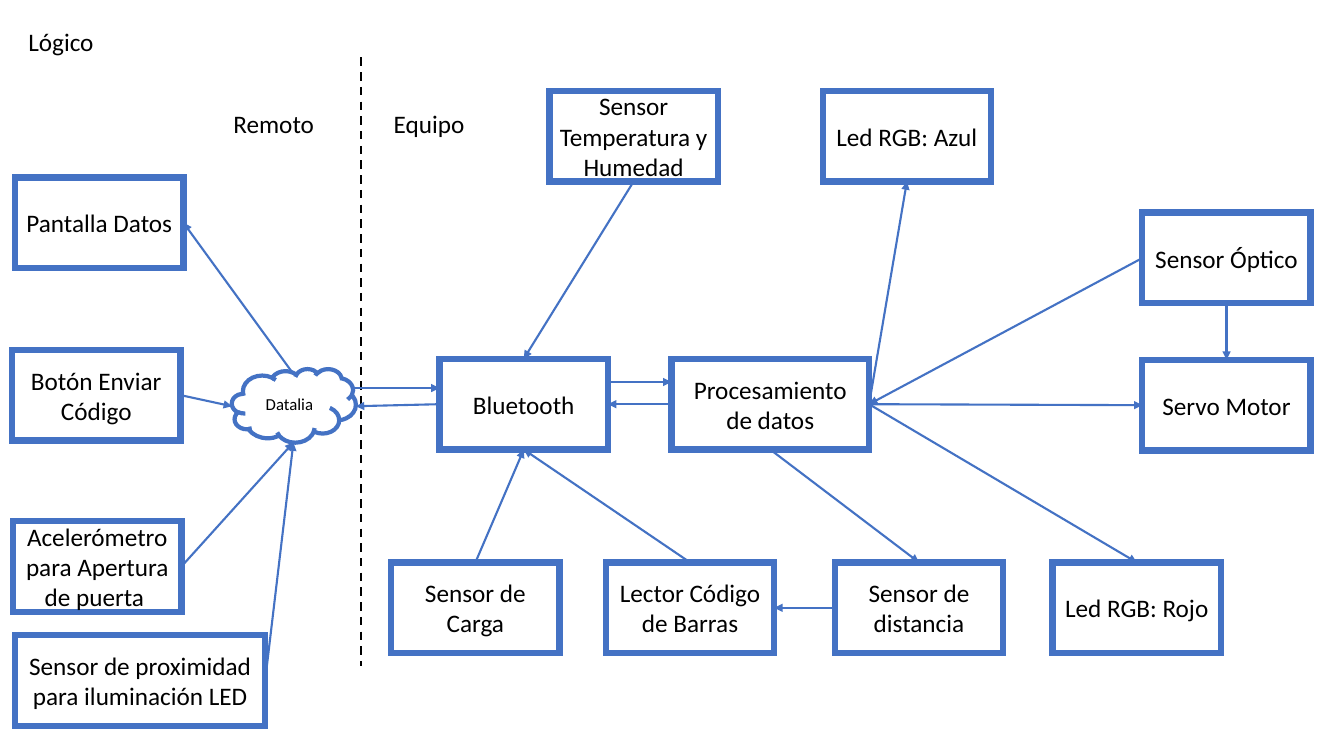
"""Build the logical diagram of the sensors, the remote side and the device."""
from typing import NamedTuple, Union

from lxml import etree
from pptx import Presentation
from pptx.dml.color import RGBColor
from pptx.enum import dml, shapes, text
from pptx.oxml import ns
from pptx.util import Inches, Pt

BLUE = RGBColor(0x44, 0x72, 0xC4)
BLACK = RGBColor(0, 0, 0)
WHITE = RGBColor(255, 255, 255)
FONT = "Calibri"
WIDE, HIGH = 1.67, 0.9
TOP, LEFT, BASE, RIGHT = range(4)


class Box(NamedTuple):
    """A framed node of the diagram."""
    key: str
    label: str
    x: float
    y: float
    w: float = WIDE


class Site(NamedTuple):
    """A side of a box to which an arrow is glued."""
    key: str
    side: int


class Point(NamedTuple):
    """A free place on the slide."""
    x: float
    y: float


class Link(NamedTuple):
    """An arrow between two ends."""
    start: Union[Site, Point]
    end: Union[Site, Point]


ROW_TOP, ROW_BASE, ROW_MID = 0.9, 5.58, 3.56
BOXES = [
    Box("screen", "Pantalla Datos", 0.15, 1.76),
    Box("button", "Botón Enviar Código", 0.12, 3.47),
    Box("door", "Acelerómetro para Apertura de puerta ", 0.13, 5.17),
    Box("near", "Sensor de proximidad para iluminación LED", 0.15, 6.3, 2.48),
    Box("radio", "Bluetooth", 4.36, ROW_MID),
    Box("process", "Procesamiento de datos", 6.66, ROW_MID, 1.96),
    Box("climate", "Sensor Temperatura y Humedad", 5.45, ROW_TOP),
    Box("azure", "Led RGB: Azul", 8.16, ROW_TOP),
    Box("optic", "Sensor Óptico", 11.33, 2.11),
    Box("servo", "Servo Motor", 11.33, 3.57),
    Box("load", "Sensor de Carga", 3.88, ROW_BASE),
    Box("reader", "Lector Código de Barras", 6.01, ROW_BASE),
    Box("range", "Sensor de distancia", 8.28, ROW_BASE),
    Box("red", "Led RGB: Rojo", 10.44, ROW_BASE),
]
HUB = Site("process", RIGHT)
CLOUD_TOP, CLOUD_LEFT = Point(2.91, 3.71), Point(2.3, 4.03)
CLOUD_BASE, CLOUD_RIGHT = Point(2.91, 4.39), Point(3.53, 4.03)
LINKS = [
    Link(CLOUD_TOP, Site("screen", RIGHT)),
    Link(Site("button", RIGHT), CLOUD_LEFT),
    Link(Site("door", RIGHT), CLOUD_BASE),
    Link(Site("near", RIGHT), CLOUD_BASE),
    Link(Site("radio", LEFT), CLOUD_RIGHT),
    Link(Point(3.48, 3.85), Point(4.36, 3.85)),
    Link(Point(6.01, 3.79), Point(6.66, 3.79)),
    Link(Site("process", LEFT), Site("radio", RIGHT)),
    Link(Site("climate", BASE), Site("radio", TOP)),
    Link(Site("load", TOP), Site("radio", BASE)),
    Link(Site("reader", TOP), Site("radio", BASE)),
    Link(Site("range", LEFT), Site("reader", RIGHT)),
    Link(Site("process", BASE), Site("range", TOP)),
    Link(HUB, Site("azure", BASE)),
    Link(HUB, Site("servo", LEFT)),
    Link(HUB, Site("red", TOP)),
    Link(Site("optic", LEFT), HUB),
    Link(Site("optic", BASE), Site("servo", TOP)),
]


def write(shape, label: str, size: float = 18) -> None:
    """Set centred black text on a white shape."""
    shape.fill.solid()
    shape.fill.fore_color.rgb = WHITE
    frame = shape.text_frame
    frame.text = label
    frame.word_wrap = True
    frame.auto_size = text.MSO_AUTO_SIZE.NONE
    frame.vertical_anchor = text.MSO_ANCHOR.MIDDLE
    para = frame.paragraphs[0]
    para.alignment = text.PP_ALIGN.CENTER
    font = para.runs[0].font
    font.name, font.size = FONT, Pt(size)
    font.color.rgb = BLACK


def block(slide, kind, box: Box, high: float, line: float, size: float = 18):
    """Draw a white shape with its text, framed if line is not zero."""
    shape = slide.shapes.add_shape(
        kind, Inches(box.x), Inches(box.y), Inches(box.w), Inches(high))
    shape.shadow.inherit = False
    if line:
        shape.line.color.rgb = BLUE
        shape.line.width = Pt(line)
        etree.SubElement(shape.line._get_or_add_ln(), ns.qn("a:miter"),
                         lim="800000")
    else:
        shape.line.fill.background()
    write(shape, box.label, size)
    return shape


def stroke(slide, start: Point, end: Point, color: RGBColor):
    """Draw a straight line without shadow."""
    line = slide.shapes.add_connector(
        shapes.MSO_CONNECTOR.STRAIGHT, Inches(start.x), Inches(start.y),
        Inches(end.x), Inches(end.y))
    line.line.color.rgb = color
    line.line.width = Pt(1.5)
    etree.SubElement(line._element.spPr, ns.qn("a:effectLst"))
    return line


def arrow(slide, link: Link, nodes: dict) -> None:
    """Draw an arrow and glue the ends that name a box."""
    spots = [Point(0, 0) if isinstance(e, Site) else e for e in link]
    line = stroke(slide, *spots, BLUE)
    for end, glue in zip(link, (line.begin_connect, line.end_connect)):
        if isinstance(end, Site):
            glue(nodes[end.key], end.side)
    etree.SubElement(line.line._get_or_add_ln(), ns.qn("a:tailEnd"),
                     type="triangle")


def main() -> None:
    """Build and save the slide."""
    deck = Presentation()
    deck.slide_width, deck.slide_height = Inches(13.33), Inches(7.5)
    slide = deck.slides.add_slide(deck.slide_layouts[5])
    rect = shapes.MSO_SHAPE.RECTANGLE

    title = slide.shapes.title
    title.left, title.top = Inches(0), Inches(0.02)
    title.width, title.height = Inches(1.21), Inches(0.78)
    write(title, "Lógico")
    for label, x in (("Remoto", 2.11), ("Equipo", 3.65)):
        block(slide, rect, Box(label, label, x, 0.83, 1.21), 0.78, 0)

    split = stroke(slide, Point(3.58, 0.57), Point(3.58, 6.61), BLACK)
    split.line.dash_style = dml.MSO_LINE.DASH

    nodes = {box.key: block(slide, rect, box, HIGH, 4.5) for box in BOXES}
    cloud = Box("cloud", "Datalia", 2.3, 3.66, 1.23)
    block(slide, shapes.MSO_SHAPE.CLOUD, cloud, 0.73, 3, 12)
    for link in LINKS:
        arrow(slide, link, nodes)
    deck.save("out.pptx")


main()
